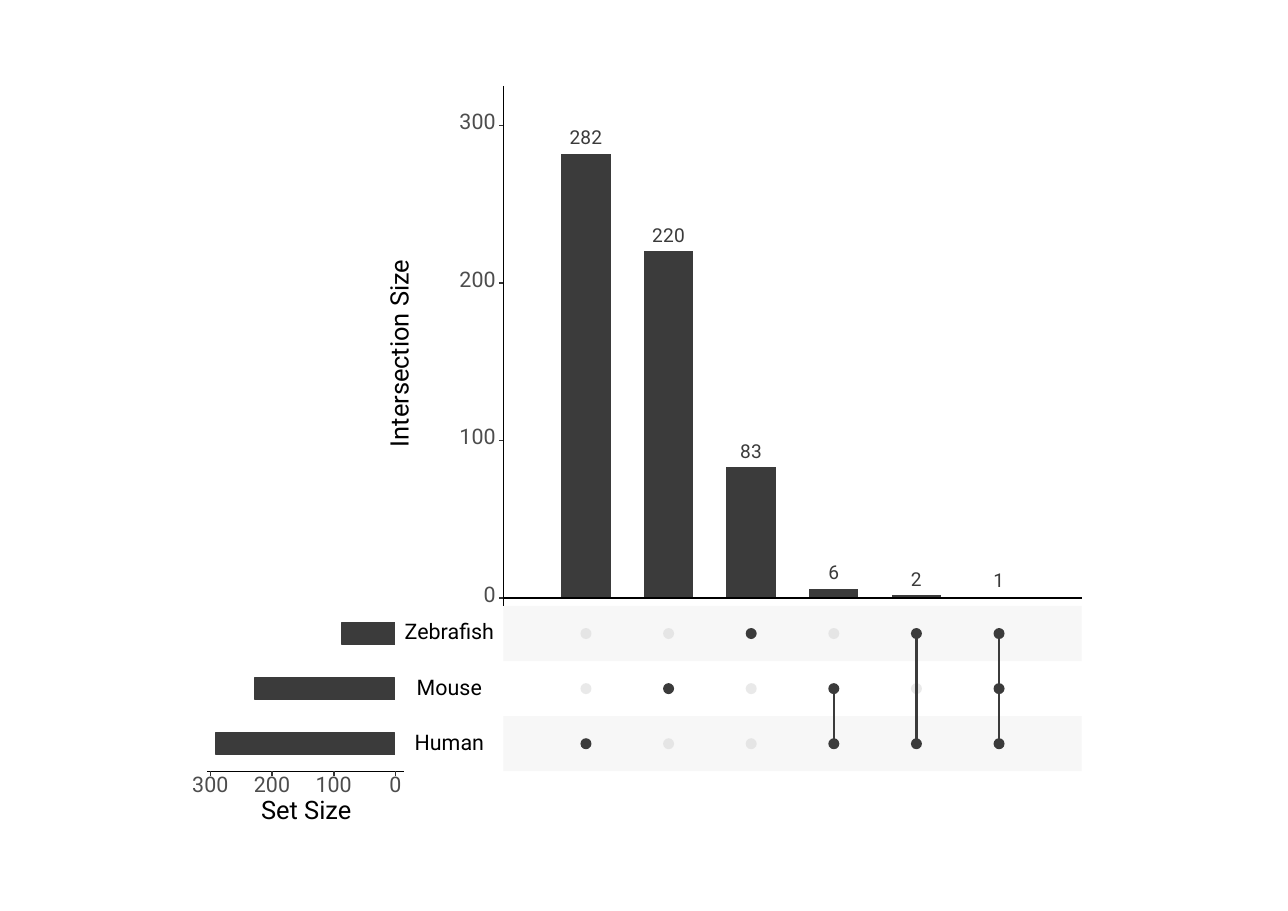
from dataclasses import dataclass
from lxml.etree import SubElement
from pptx import Presentation
from pptx.chart.data import CategoryChartData
from pptx.dml.color import RGBColor
from pptx.enum.chart import XL_CHART_TYPE as Chart, XL_LABEL_POSITION as LabelPosition
from pptx.enum.shapes import MSO_CONNECTOR as Link, MSO_SHAPE as Shape
from pptx.enum.text import MSO_ANCHOR as Anchor, PP_ALIGN as Align
from pptx.oxml.ns import qn
from pptx.util import Cm, Inches, Pt

FONT, DARK, GREY, BLACK, TICK = "Roboto", "3B3B3B", "4D4D4D", "000000", "333333"
COLUMN, ROW = 0.75, 0.5
SPECIES = ["Human", "Mouse", "Zebrafish"]
INTERSECTIONS = [
    (["Human"], 282),
    (["Mouse"], 220),
    (["Zebrafish"], 83),
    (["Human", "Mouse"], 6),
    (["Human", "Zebrafish"], 2),
    (["Human", "Mouse", "Zebrafish"], 1),
]
SCALE = range(0, 301, 100)


@dataclass
class Box:
    """A rectangle in inches."""
    left: float
    top: float
    width: float
    height: float

    @property
    def right(self):
        """Right edge."""
        return self.left + self.width

    @property
    def bottom(self):
        """Bottom edge."""
        return self.top + self.height

    def lengths(self):
        """Left, top, width and height as slide lengths."""
        return [Inches(side) for side in (self.left, self.top, self.width, self.height)]


def colour(value):
    """Turn a hex string into a colour."""
    return RGBColor.from_string(value)


def write(page, text, x, y, size=14, tint=BLACK, align=Align.CENTER, width=2, rotation=0):
    """Write one line centred on y, with x as its centre or right edge."""
    left = x - width if align == Align.RIGHT else x - width / 2
    label = page.shapes.add_textbox(*Box(left, y - 0.1, width, 0.2).lengths())
    label.rotation = rotation
    frame = label.text_frame
    frame.word_wrap, frame.vertical_anchor = True, Anchor.MIDDLE
    frame.margin_left = frame.margin_right = frame.margin_top = frame.margin_bottom = 0
    para = frame.paragraphs[0]
    para.alignment, para.line_spacing = align, Pt(size)
    span = para.add_run()
    span.text = text
    span.font.name, span.font.size = FONT, Pt(size)
    span.font.color.rgb = colour(tint)


def draw_line(page, start, end, tint=BLACK, weight=1.07):
    """Draw a straight line between two points."""
    line = page.shapes.add_connector(Link.STRAIGHT, *[Inches(n) for n in (*start, *end)])
    line.line.color.rgb, line.line.width = colour(tint), Pt(weight)
    SubElement(line.element.spPr, qn("a:effectLst"))


def draw_shape(page, kind, box, tint, opacity=100):
    """Draw a filled shape without outline."""
    shape = page.shapes.add_shape(kind, *box.lengths())
    shape.shadow.inherit = False
    shape.line.fill.background()
    shape.fill.solid()
    shape.fill.fore_color.rgb = colour(tint)
    if opacity < 100:
        fill = shape.element.spPr.find(qn("a:solidFill"))[0]
        SubElement(fill, qn("a:alpha"), val=str(opacity * 1000))


def fill_frame(chart):
    """Stretch the plot area over the whole chart frame."""
    plot_area = chart.element.find(".//" + qn("c:plotArea"))
    layout = plot_area.find(qn("c:layout"))
    if layout is None:
        layout = SubElement(plot_area, qn("c:layout"))
        plot_area.insert(0, layout)
    manual = SubElement(layout, qn("c:manualLayout"))
    settings = dict(layoutTarget="inner", xMode="edge", yMode="edge", x="0", y="0", w="1", h="1")
    for name, value in settings.items():
        SubElement(manual, qn("c:" + name), val=value)


def add_bars(page, box, kind, name, counts, maximum, gap):
    """Add a bar chart of a dictionary of counts and return it."""
    data = CategoryChartData()
    data.categories = list(counts)
    data.add_series(name, list(counts.values()))
    chart = page.shapes.add_chart(kind, *box.lengths(), data).chart
    chart.has_legend = chart.has_title = False
    chart.font.name, chart.font.size = FONT, Pt(12.5)
    chart.font.color.rgb = colour(DARK)
    axis = chart.value_axis
    axis.minimum_scale, axis.maximum_scale, axis.major_unit = 0, maximum, 100
    axis.has_major_gridlines = False
    axis.visible = chart.category_axis.visible = False
    plot = chart.plots[0]
    plot.gap_width, plot.vary_by_categories = gap, False
    fill = plot.series[0].format.fill
    fill.solid()
    fill.fore_color.rgb = colour(DARK)
    fill_frame(chart)
    return chart


def intersection_sizes(page, box):
    """Draw the column chart with its upward axis."""
    maximum = 325
    counts = {" & ".join(members): size for members, size in INTERSECTIONS}
    plot_box = Box(box.left + COLUMN / 2, box.top, len(counts) * COLUMN, box.height)
    chart = add_bars(page, plot_box, Chart.COLUMN_CLUSTERED, "Intersection Size",
                     counts, maximum, 67)
    plot = chart.plots[0]
    plot.has_data_labels = True
    labels = plot.data_labels
    labels.show_value, labels.position = True, LabelPosition.OUTSIDE_END
    labels.font.name, labels.font.size = FONT, Pt(12.5)
    labels.font.color.rgb = colour(DARK)
    draw_line(page, (box.left, box.top), (box.left, box.bottom + 0.07))
    draw_line(page, (box.left, box.bottom), (box.right, box.bottom))
    for value in SCALE:
        y = box.bottom - box.height * value / maximum
        draw_line(page, (box.left - 0.04, y), (box.left, y), TICK)
        write(page, str(value), box.left - 0.07, y - 0.02, tint=GREY, align=Align.RIGHT, width=0.5)
    write(page, "Intersection Size", box.left - 0.93, box.top + box.height * 0.52 + 0.01,
          size=16.6, rotation=270)


def membership_matrix(page, box):
    """Draw the striped rows, the dots and the links between members."""
    heights = {name: box.bottom - ROW * (row + 0.5) for row, name in enumerate(SPECIES)}
    for name, y in heights.items():
        if name != "Mouse":
            stripe = Box(box.left, y - ROW / 2, box.width, ROW)
            draw_shape(page, Shape.RECTANGLE, stripe, "E0E0E0", 25)
        write(page, name, box.left - 0.49, y, width=1)
    for column, (members, _) in enumerate(INTERSECTIONS, 1):
        x = box.left + COLUMN * column
        for name, y in heights.items():
            tint, opacity = (DARK, 100) if name in members else ("D4D4D4", 50)
            draw_shape(page, Shape.OVAL, Box(x - 0.05, y - 0.05, 0.1, 0.1), tint, opacity)
        if len(members) > 1:
            draw_line(page, (x, heights[members[0]]), (x, heights[members[-1]]), DARK, 1.49)


def set_sizes(page, box):
    """Draw the leftward bar chart with its axis and title."""
    totals = {name: sum(size for members, size in INTERSECTIONS if name in members)
              for name in SPECIES}
    chart = add_bars(page, box, Chart.BAR_CLUSTERED, "Set Size", totals, max(SCALE), 150)
    chart.value_axis.reverse_order = True
    outline = chart.plots[0].series[0].format.line
    outline.color.rgb, outline.width = colour(DARK), Pt(1.07)
    draw_line(page, (box.left - 0.03, box.bottom), (box.right + 0.08, box.bottom), weight=0.64)
    for value in SCALE:
        x = box.right - box.width * value / max(SCALE)
        draw_line(page, (x, box.bottom), (x, box.bottom + 0.04), TICK)
        write(page, str(value), x, box.bottom + 0.13, tint=GREY, width=0.5)
    write(page, "Set Size", box.left + box.width / 2 + 0.03, box.bottom + 0.37, size=16.6)


def build():
    """Build the slide and save the deck."""
    deck = Presentation()
    deck.slide_width, deck.slide_height = Cm(29.7), Cm(21)
    page = deck.slides.add_slide(deck.slide_layouts[6])
    width = (len(INTERSECTIONS) + 1) * COLUMN
    height = len(SPECIES) * ROW
    intersection_sizes(page, Box(4.57, 0.78, width, 4.65))
    membership_matrix(page, Box(4.57, 5.5, width, height))
    set_sizes(page, Box(1.91, 5.5, 1.68, height))
    deck.save("out.pptx")


build()
